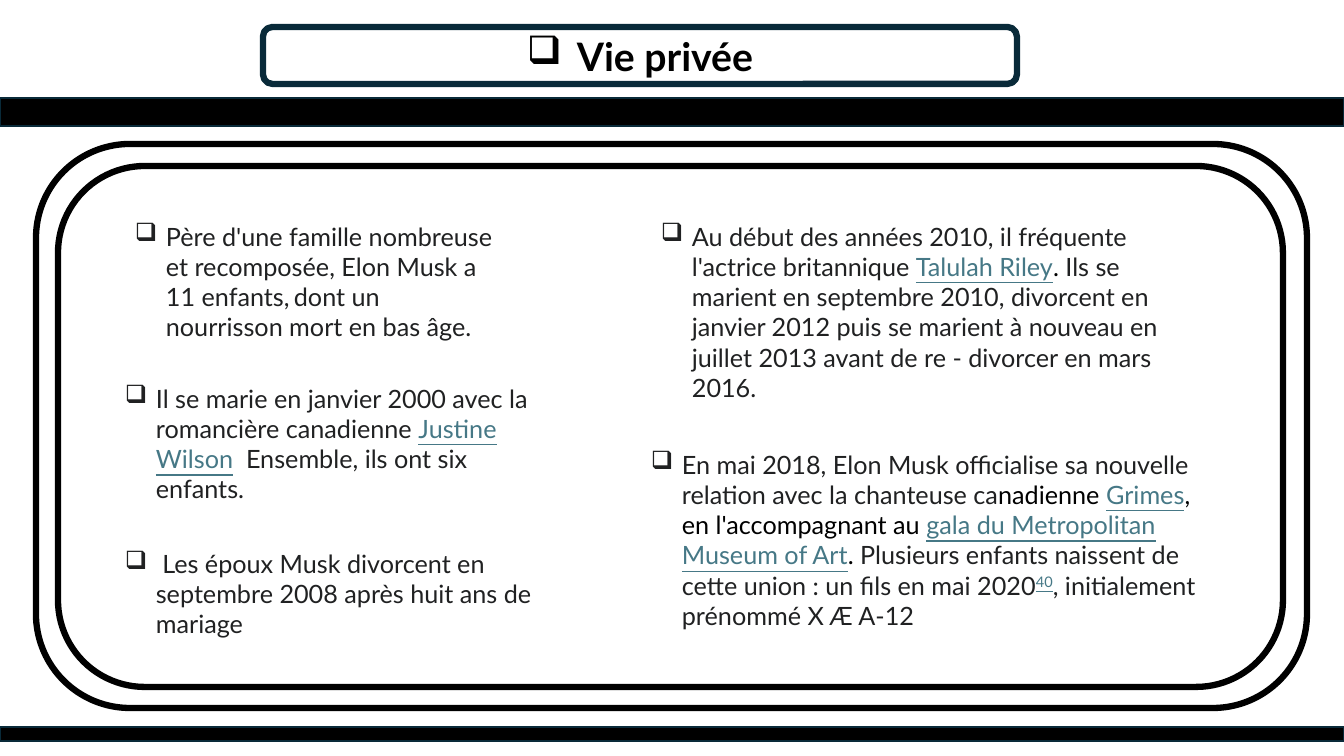
from lxml import etree
from pptx import Presentation
from pptx.dml.color import RGBColor
from pptx.enum.shapes import MSO_SHAPE
from pptx.enum.text import MSO_ANCHOR, PP_ALIGN
from pptx.oxml.ns import qn
from pptx.util import Pt

RECTANGLE = MSO_SHAPE.RECTANGLE
ROUNDED = MSO_SHAPE.ROUNDED_RECTANGLE
MIDDLE = MSO_ANCHOR.MIDDLE
CENTER = PP_ALIGN.CENTER
EMU_PER_PX = 914400 / 100.8
BLACK, WHITE, NAVY = "000000", "FFFFFF", "092A39"
BODY, LINK = "202122", "467886"


def color(value):
    return RGBColor.from_string(value)


def px(value):
    return round(value * EMU_PER_PX)


class SlideBuilder:
    font_name = "Lato"
    bullet = "❑"
    body_size = 18

    def __init__(self, deck):
        self.slide = deck.slides.add_slide(deck.slide_layouts[6])

    def panel(self, kind, bounds, line, weight, fill=None):
        panel = self.slide.shapes.add_shape(kind, *map(px, bounds))
        panel.shadow.inherit = False
        if fill:
            panel.fill.solid()
            panel.fill.fore_color.rgb = color(fill)
        else:
            panel.fill.background()
        panel.line.color.rgb = color(line)
        panel.line.width = Pt(weight)
        return panel

    def span(self, para, text, shade=BODY, size=body_size, raised=False, **formats):
        span = para.add_run()
        span.text = text
        formats = {"name": self.font_name, "size": Pt(size), **formats}
        if shade == LINK:
            formats["underline"] = True
        for name, value in formats.items():
            setattr(span.font, name, value)
        span.font.color.rgb = color(shade)
        if raised:
            span.font._element.set("baseline", "30000")

    def bulleted(self, para, indent):
        properties = para._p.get_or_add_pPr()
        properties.set("marL", str(px(indent)))
        properties.set("indent", str(-px(indent)))
        etree.SubElement(properties, qn("a:buChar")).set("char", self.bullet)

    def title(self, bounds, text):
        box = self.panel(ROUNDED, bounds, NAVY, 4.5, WHITE)
        box.text_frame.vertical_anchor = MIDDLE
        para = box.text_frame.paragraphs[0]
        para.alignment = CENTER
        self.bulleted(para, 50)
        self.span(para, text, BLACK, 28, bold=True)

    def note(self, bounds, spans):
        box = self.slide.shapes.add_textbox(*map(px, bounds))
        box.text_frame.word_wrap = True
        para = box.text_frame.paragraphs[0]
        self.bulleted(para, 31)
        for span in spans:
            self.span(para, *span)


NOTES = [
    ((125, 216, 378, 132), [
        ("Père d'une famille nombreuse et recomposée, Elon Musk a 11 enfants,",),
        (" ", BODY, 12),
        ("dont un nourrisson mort en bas âge.",),
    ]),
    ((115, 378, 441, 132), [
        ("Il se marie en janvier 2000 avec la romancière canadienne ",),
        ("Justine Wilson", LINK),
        ("  Ensemble, ils ont six enfants.",),
    ]),
    ((115, 543, 432, 102), [
        (" Les époux Musk divorcent en septembre 2008 après huit ans de mariage",),
    ]),
    ((651, 216, 543, 194), [
        ("Au début des années 2010, il fréquente l'actrice britannique ",),
        ("Talulah Riley", LINK),
        (".", BLACK),
        (" Ils se marient en septembre 2010, divorcent en janvier 2012 puis se marient"
         " à nouveau en juillet 2013 avant de re - divorcer en mars 2016.",),
    ]),
    ((641, 444, 565, 194), [
        ("En mai 2018, Elon Musk officialise sa nouvelle relation avec la chanteuse ca",),
        ("nadienne ", BLACK),
        ("Grimes", LINK),
        (", en l'accompagnant au ", BLACK),
        ("gala du Metropolitan Museum of Art", LINK),
        (".", BLACK),
        (" Plusieurs enfants naissent de cette union : un fils en mai 2020",),
        ("40", LINK, 18, True),
        (", initialement prénommé X Æ A-12",),
    ]),
]


def main():
    deck = Presentation()
    deck.slide_width, deck.slide_height = px(1344), px(756)
    page = SlideBuilder(deck)
    for bounds in ((36, 144, 1271, 564), (58, 166, 1225, 521)):
        page.panel(ROUNDED, bounds, BLACK, 4.5)
    page.title((263, 27, 754, 57), "Vie privée")
    for top, height in ((98, 28), (727, 14)):
        page.panel(RECTANGLE, (0, top, 1344, height), NAVY, 1.5, BLACK)
    for bounds, spans in NOTES:
        page.note(bounds, spans)
    deck.save("out.pptx")


if __name__ == "__main__":
    main()
